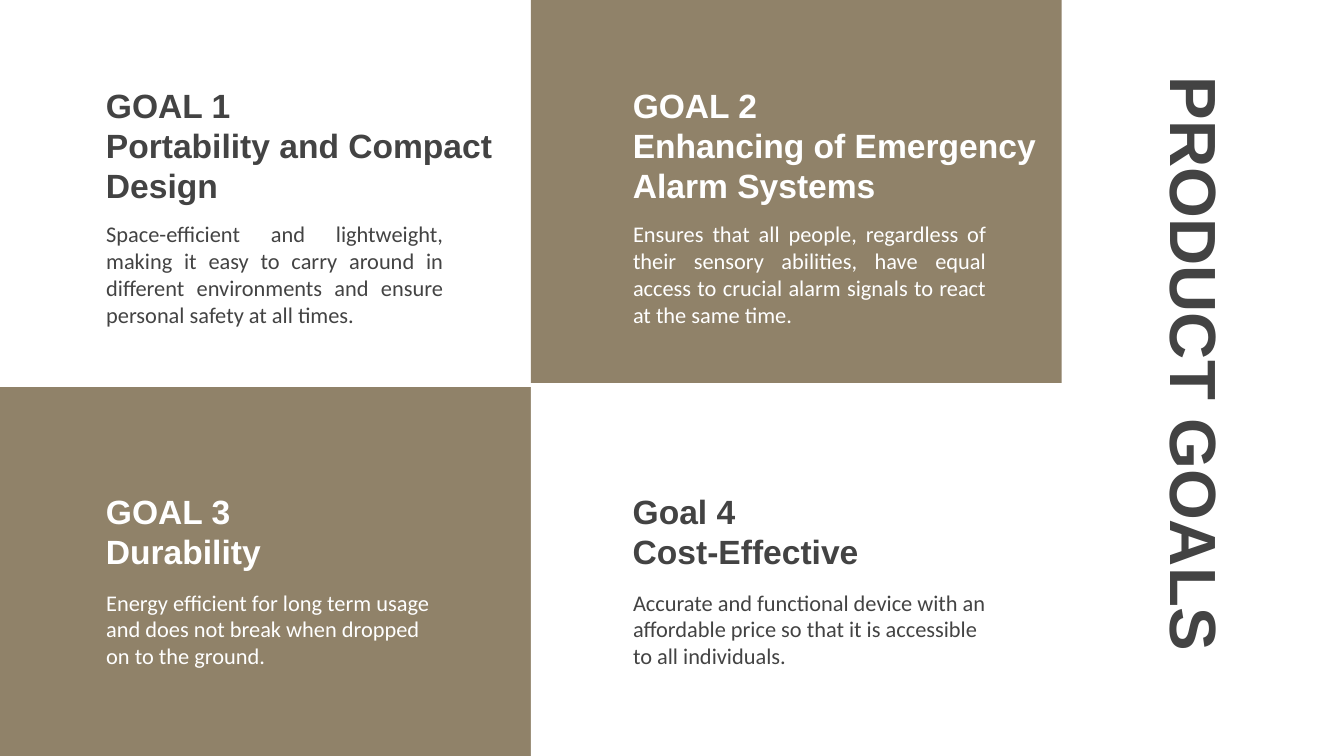
import pptx
import pptx.dml.color
import pptx.enum.shapes
import pptx.enum.text
import pptx.util
from pptx.util import Inches

TAUPE = pptx.dml.color.RGBColor(0x90, 0x82, 0x69)
WHITE = pptx.dml.color.RGBColor(0xFF, 0xFF, 0xFF)
CHARCOAL = pptx.dml.color.RGBColor(0x43, 0x43, 0x43)
ANCHOR = pptx.enum.text.MSO_ANCHOR
ALIGN = pptx.enum.text.PP_ALIGN


def place(box, left, top, width, height):
    box.left, box.top = Inches(left), Inches(top)
    box.width, box.height = Inches(width), Inches(height)


def write(box, lines, font_name, size, color, bold, anchor, align=ALIGN.LEFT):
    frame = box.text_frame
    frame.text = "\n".join(lines)
    frame.word_wrap = True
    frame.auto_size = pptx.enum.text.MSO_AUTO_SIZE.NONE
    frame.vertical_anchor = anchor
    frame.margin_left = frame.margin_right = Inches(0.1)
    frame.margin_top = frame.margin_bottom = Inches(0.1)
    for paragraph in frame.paragraphs:
        properties = paragraph._p.get_or_add_pPr()
        properties.set("marL", "0")
        properties.set("indent", "0")
        properties.append(pptx.oxml.parse_xml(
            '<a:buNone xmlns:a="http://schemas.openxmlformats.org/drawingml/2006/main"/>'))
        paragraph.alignment = align
        paragraph.line_spacing = 1.0
        paragraph.space_before = pptx.util.Pt(0)
        paragraph.font.name = font_name
        paragraph.font.size = pptx.util.Pt(size)
        paragraph.font.bold = bold
        paragraph.font.color.rgb = color


# 16:9 slide
deck = pptx.Presentation()
deck.slide_width, deck.slide_height = Inches(10), Inches(10 * 9 / 16)
slide = deck.slides.add_slide(deck.slide_layouts.get_by_name("Comparison"))

# Vertical title
title = slide.shapes.title
place(title, 6.66, 2.45, 4.49, 0.53)
title.rotation = 90
write(title, ["PRODUCT GOALS"], "Arial", 35, CHARCOAL, True, ANCHOR.MIDDLE)

# Quadrant panels, moved behind the text
panels = [
    (3.95, -0.03, 2.88, TAUPE),
    (0, 2.88, 2.75, TAUPE),
    (3.95, 2.88, 2.75, WHITE),
]
shape_tree = title.element.getparent()
for position, (left, top, height, fill) in enumerate(panels):
    panel = slide.shapes.add_shape(
        pptx.enum.shapes.MSO_SHAPE.RECTANGLE,
        Inches(left), Inches(top), Inches(3.95), Inches(height))
    panel.shadow.inherit = False
    panel.fill.solid()
    panel.fill.fore_color.rgb = fill
    panel.line.fill.background()
    shape_tree.insert(2 + position, panel.element)

# Goals: heading lines, heading width, description, height, colour, alignment
goals = [
    (["GOAL 1", "Portability and Compact Design"], 3.14,
     "Space-efficient and lightweight, making it easy to carry around in different "
     "environments and ensure personal safety at all times.",
     0.59, CHARCOAL, ALIGN.JUSTIFY),
    (["GOAL 2", "Enhancing of Emergency Alarm Systems"], 3.28,
     "Ensures that all people, regardless of their sensory abilities, have equal "
     "access to crucial alarm signals to react at the same time.",
     0.82, WHITE, ALIGN.JUSTIFY),
    (["GOAL 3", "Durability"], 3.14,
     "Energy efficient for long term usage and does not break when dropped "
     "on to the ground.",
     1.03, WHITE, ALIGN.LEFT),
    (["Goal 4", "Cost-Effective"], 2.83,
     "Accurate and functional device with an affordable price so that it is "
     "accessible to all individuals.",
     0.82, CHARCOAL, ALIGN.LEFT),
]
column_lefts, column_widths = [0.69, 4.61], [2.71, 2.83]
heading_tops, description_tops = [0.92, 3.64], [1.54, 4.28]
for index, (lines, heading_width, text, height, color, align) in enumerate(goals):
    row, column = divmod(index, 2)
    left = column_lefts[column]

    heading = slide.shapes.add_textbox(
        Inches(left), Inches(heading_tops[row]), Inches(heading_width), Inches(0.71))
    write(heading, lines, "Arial", 18, color, True, ANCHOR.BOTTOM)

    description = slide.placeholders[index + 1]
    place(description, left, description_tops[row], column_widths[column], height)
    write(description, [text], "Calibri", 12, color, False, ANCHOR.TOP, align)

deck.save("out.pptx")
